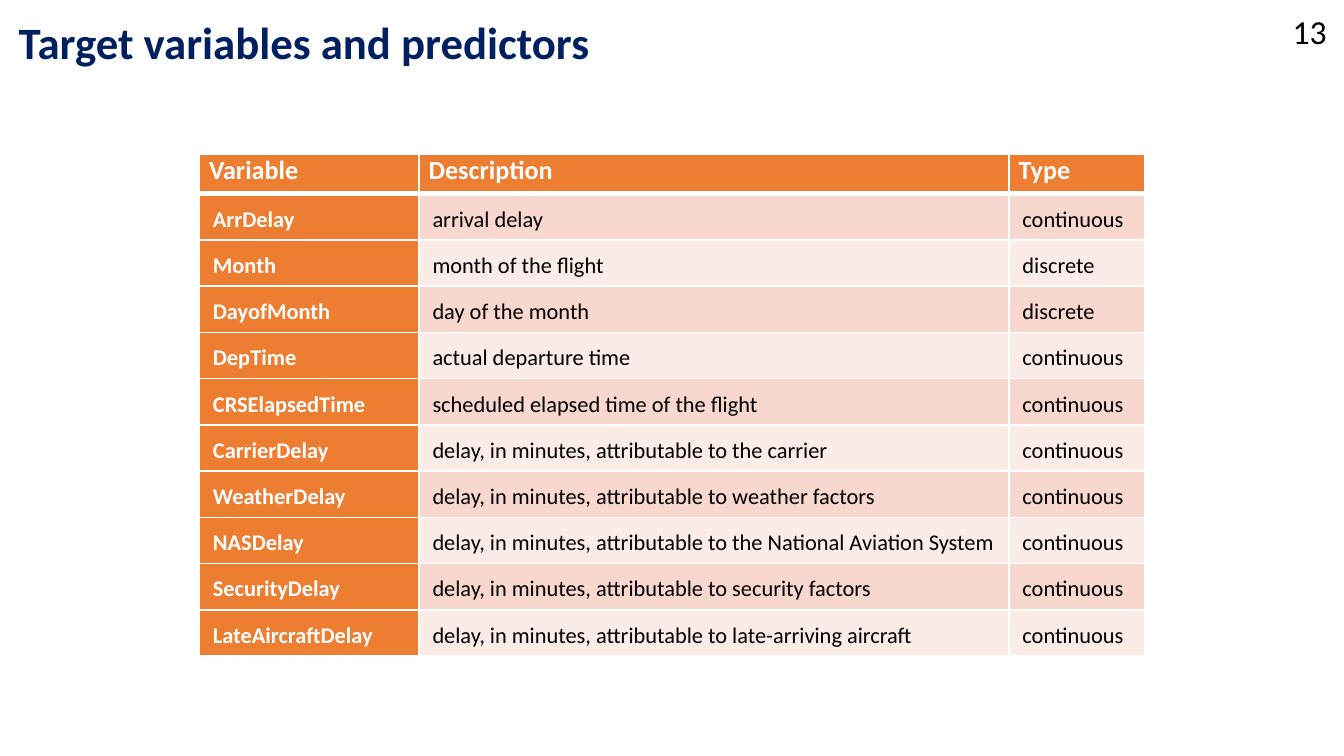
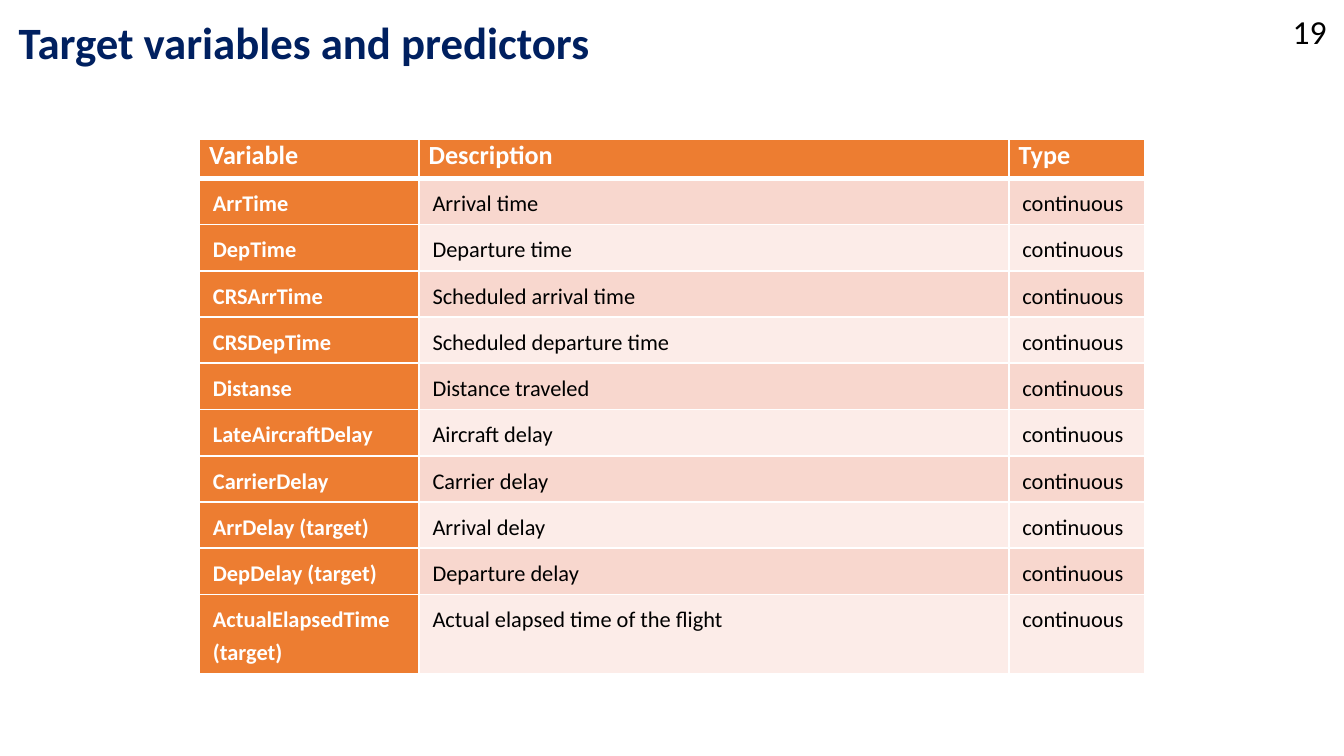
from dataclasses import dataclass

from lxml.etree import SubElement
from pptx import Presentation
from pptx.dml.color import RGBColor
from pptx.enum.text import MSO_ANCHOR, MSO_AUTO_SIZE, PP_ALIGN
from pptx.oxml.ns import qn
from pptx.util import Cm, Pt


@dataclass(frozen=True)
class Theme:
    font: str = "Calibri"
    navy: str = "002060"
    orange: str = "ED7D31"
    dark_band: str = "F8D7CE"
    light_band: str = "FCECE8"
    white: str = "FFFFFF"
    black: str = "000000"
    title_size: int = 24
    number_size: int = 18
    header_size: int = 14
    body_size: int = 12
    thin_line: int = 1
    thick_line: int = 3


THEME = Theme()

# Boxes in centimetres: left, top, width, height
TITLE_BOX = (0.1, 0.28, 17.55, 1.14)
NUMBER_BOX = (24.18, 0.08, 1.24, 1.02)
TABLE_LEFT = 3.77
COLUMN_WIDTHS = (4.15, 11.15, 2.56)
HEADER_HEIGHT, ROW_HEIGHT = 0.74, 0.87

TITLE = "Target variables and predictors"
HEADERS = ("Variable", "Description", "Type")
DELAY_PREDICTORS = [
    ("ArrDelay", "arrival delay", "continuous"),
    ("Month", "month of the flight", "discrete"),
    ("DayofMonth", "day of the month", "discrete"),
    ("DepTime", "actual departure time", "continuous"),
    ("CRSElapsedTime", "scheduled elapsed time of the flight", "continuous"),
    ("CarrierDelay", "delay, in minutes, attributable to the carrier", "continuous"),
    ("WeatherDelay", "delay, in minutes, attributable to weather factors", "continuous"),
    ("NASDelay", "delay, in minutes, attributable to the National Aviation System",
     "continuous"),
    ("SecurityDelay", "delay, in minutes, attributable to security factors", "continuous"),
    ("LateAircraftDelay", "delay, in minutes, attributable to late-arriving aircraft",
     "continuous"),
]
TIME_PREDICTORS = [
    (variable, description, "continuous")
    for variable, description in (
        ("ArrTime", "Arrival time"),
        ("DepTime", "Departure time"),
        ("CRSArrTime", "Scheduled arrival time"),
        ("CRSDepTime", "Scheduled departure time"),
        ("Distanse", "Distance traveled"),
        ("LateAircraftDelay", "Aircraft delay"),
        ("CarrierDelay", "Carrier delay"),
        ("ArrDelay (target)", "Arrival delay"),
        ("DepDelay (target)", "Departure delay"),
        ("ActualElapsedTime (target)", "Actual elapsed time of the flight"),
    )
]


def write_text(text_frame, text, size, color, bold=False, align=PP_ALIGN.LEFT):
    text_frame.text = text
    paragraph = text_frame.paragraphs[0]
    paragraph.alignment = align
    font = paragraph.runs[0].font
    font.name, font.size, font.bold = THEME.font, Pt(size), bold
    font.color.rgb = RGBColor.from_string(color)
    return paragraph


def set_borders(cell, top, bottom):
    """Draw white lines around a cell; the sides are always thin."""
    properties = cell._tc.get_or_add_tcPr()
    widths = {"a:lnL": THEME.thin_line, "a:lnR": THEME.thin_line,
              "a:lnT": top, "a:lnB": bottom}
    for position, (tag, width) in enumerate(widths.items()):
        line = SubElement(properties, qn(tag), w=str(Pt(width)))
        fill = SubElement(line, qn("a:solidFill"))
        SubElement(fill, qn("a:srgbClr"), val=THEME.white)
        properties.insert(position, line)


def add_title(slide, text, box):
    title = slide.shapes.title
    title.left, title.top, title.width, title.height = map(Cm, box)
    write_text(title.text_frame, text, THEME.title_size, THEME.navy, bold=True)
    title.text_frame.vertical_anchor = MSO_ANCHOR.BOTTOM
    title.text_frame.auto_size = MSO_AUTO_SIZE.NONE


def add_page_number(slide, number, box):
    text_frame = slide.shapes.add_textbox(*map(Cm, box)).text_frame
    write_text(text_frame, str(number), THEME.number_size, THEME.black)
    text_frame.auto_size = MSO_AUTO_SIZE.SHAPE_TO_FIT_TEXT


def format_header_cell(cell, text):
    write_text(cell.text_frame, text, THEME.header_size, THEME.white, True, PP_ALIGN.JUSTIFY)
    cell.margin_left = cell.margin_right = Cm(0.18)
    cell.margin_top = cell.margin_bottom = 0


def format_body_cell(cell, text, is_variable):
    color = THEME.white if is_variable else THEME.black
    paragraph = write_text(cell.text_frame, text, THEME.body_size, color,
                           is_variable, PP_ALIGN.JUSTIFY)
    paragraph.line_spacing = 1.2


def add_variable_table(slide, variables, left, top):
    rows = [HEADERS, *variables]
    height = HEADER_HEIGHT + ROW_HEIGHT * len(variables)
    table = slide.shapes.add_table(len(rows), len(HEADERS), Cm(left), Cm(top),
                                   Cm(sum(COLUMN_WIDTHS)), Cm(height)).table
    table.first_col = True
    for column, width in zip(table.columns, COLUMN_WIDTHS):
        column.width = Cm(width)

    for row_index, texts in enumerate(rows):
        is_header = row_index == 0
        table.rows[row_index].height = Cm(HEADER_HEIGHT if is_header else ROW_HEIGHT)
        band = THEME.dark_band if row_index % 2 else THEME.light_band
        for column_index, text in enumerate(texts):
            cell = table.cell(row_index, column_index)
            is_variable = column_index == 0
            if is_header:
                format_header_cell(cell, text)
            else:
                format_body_cell(cell, text, is_variable)
            cell.fill.solid()
            cell.fill.fore_color.rgb = RGBColor.from_string(
                THEME.orange if is_header or is_variable else band)
            # The heavy rule lies between the header and the first body row
            set_borders(cell,
                        top=THEME.thick_line if row_index == 1 else THEME.thin_line,
                        bottom=THEME.thick_line if is_header else THEME.thin_line)


def add_variables_slide(presentation, number, variables, table_top):
    slide = presentation.slides.add_slide(presentation.slide_layouts[5])
    add_title(slide, TITLE, TITLE_BOX)
    add_variable_table(slide, variables, TABLE_LEFT, table_top)
    add_page_number(slide, number, NUMBER_BOX)


def main():
    presentation = Presentation()
    presentation.slide_width, presentation.slide_height = Cm(25.4), Cm(14.29)
    add_variables_slide(presentation, 13, DELAY_PREDICTORS, table_top=2.92)
    add_variables_slide(presentation, 19, TIME_PREDICTORS, table_top=2.63)
    presentation.save("out.pptx")


if __name__ == "__main__":
    main()
